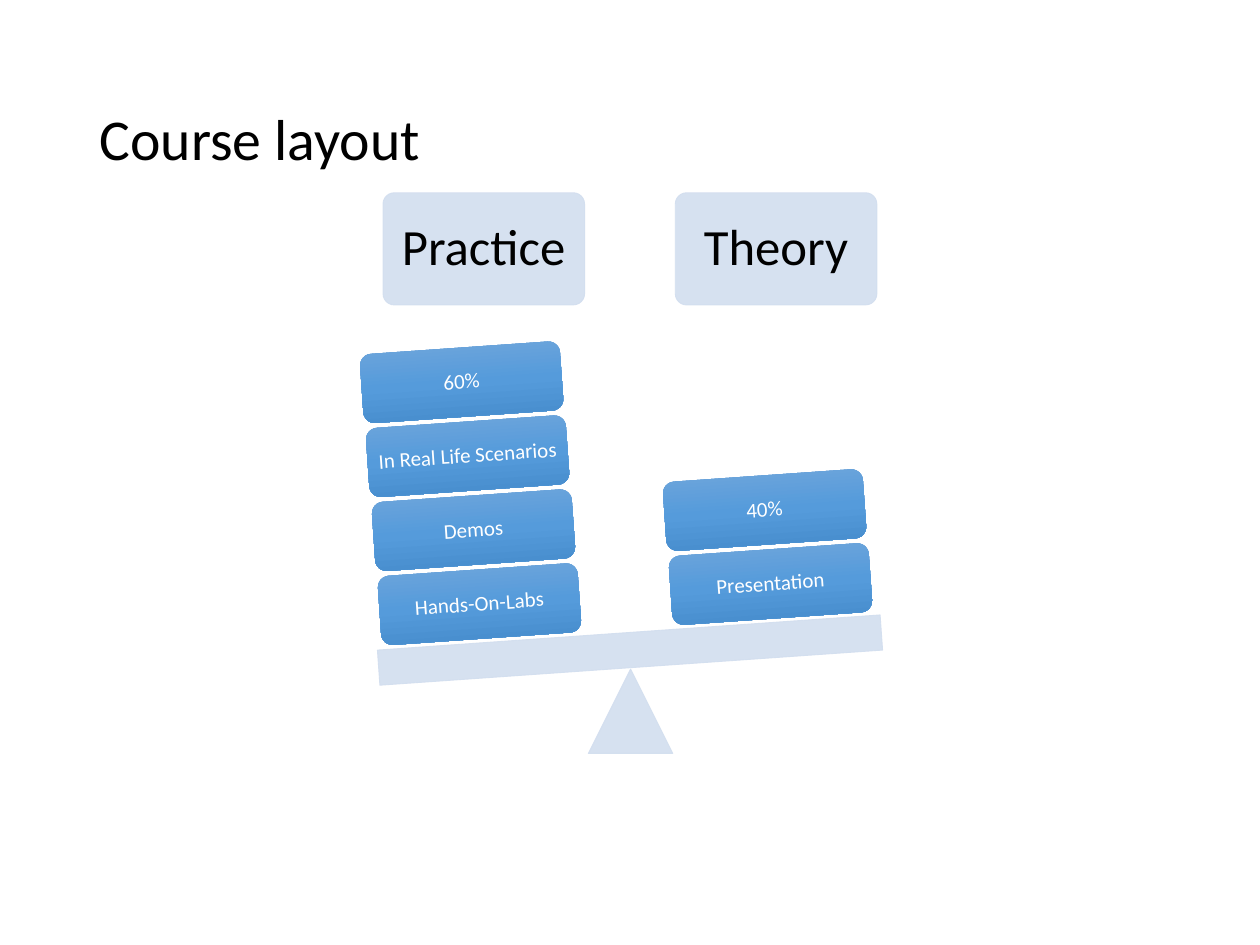
"""Build the course layout slide: practice outweighing theory on a seesaw."""
from dataclasses import dataclass

from lxml import etree
from pptx import Presentation
from pptx.dml.color import RGBColor
from pptx.enum.shapes import MSO_SHAPE
from pptx.enum.text import MSO_ANCHOR, PP_ALIGN
from pptx.oxml.ns import qn
from pptx.util import Inches, Pt

RECT, ROUND = MSO_SHAPE.RECTANGLE, MSO_SHAPE.ROUNDED_RECTANGLE
TRIANGLE = MSO_SHAPE.ISOSCELES_TRIANGLE
MIDDLE, LEFT, CENTER = MSO_ANCHOR.MIDDLE, PP_ALIGN.LEFT, PP_ALIGN.CENTER

BLACK = RGBColor(0x00, 0x00, 0x00)
WHITE = RGBColor(0xFF, 0xFF, 0xFF)
PALE = RGBColor(0xD2, 0xDE, 0xEF)
BLUES = ((0, "71A6DB"), (50, "559BDB"), (100, "448ACA"))
FONT = "Calibri"
TILT = -4
STEP_X, STEP_Y = -0.047, -0.587
BLOCK_W, BLOCK_H = 1.59, 0.55


@dataclass
class Pan:
    heading: str
    heading_left: float
    left: float
    top: float
    blocks: tuple[str, ...]


PANS = (
    Pan("Practice", 3.04, 3.01, 4.52,
        ("Hands-On-Labs", "Demos", "In Real Life Scenarios", "60%")),
    Pan("Theory", 5.36, 5.32, 4.36, ("Presentation", "40%")),
)


def write(sp, text: str, size: float, color: RGBColor, align) -> None:
    """Set one paragraph of formatted text."""
    tf = sp.text_frame
    tf.text = text
    tf.word_wrap = True
    tf.vertical_anchor = MIDDLE
    p = tf.paragraphs[0]
    p.alignment = align
    p.line_spacing = 0.9
    font = p.runs[0].font
    font.name, font.size, font.color.rgb = FONT, Pt(size), color


def set_insets(sp, inset: float) -> None:
    """Give all four text margins the same length."""
    tf = sp.text_frame
    tf.margin_left = tf.margin_right = Inches(inset)
    tf.margin_top = tf.margin_bottom = Inches(inset)


def add_shape(slide, kind, left: float, top: float, width: float, height: float):
    """Add a shape without a shadow."""
    sp = slide.shapes.add_shape(kind, *map(Inches, (left, top, width, height)))
    sp.shadow.inherit = False
    return sp


def add_pale(slide, kind, left: float, top: float, width: float, height: float):
    """Add a pale shape with slightly transparent fill and line."""
    sp = add_shape(slide, kind, left, top, width, height)
    sp.line.width = Pt(0.5)
    for fill in (sp.fill, sp.line.fill):
        fill.solid()
        fill.fore_color.rgb = PALE
    for clr in sp._element.spPr.iter(qn("a:srgbClr")):
        etree.SubElement(clr, qn("a:alpha"), val="90000")
    return sp


def add_block(slide, text: str, left: float, top: float) -> None:
    """Add a tilted block with a vertical gradient."""
    sp = add_shape(slide, ROUND, left, top, BLOCK_W, BLOCK_H)
    sp.rotation = TILT
    sp.line.fill.background()
    sp.fill.gradient()
    sp.fill.gradient_angle = 270
    stops = sp._element.spPr.find(".//" + qn("a:gsLst"))
    for stop in list(stops):
        stops.remove(stop)
    for pos, color in BLUES:
        stop = etree.SubElement(stops, qn("a:gs"), pos=str(pos * 1000))
        etree.SubElement(stop, qn("a:srgbClr"), val=color)
    set_insets(sp, 0.04)
    write(sp, text, 12, WHITE, CENTER)


def add_pan(slide, pan: Pan) -> None:
    """Add a heading and the stack of blocks below it."""
    sp = add_pale(slide, ROUND, pan.heading_left, 1.53, 1.6, 0.89)
    sp.adjustments[0] = 0.1
    set_insets(sp, 0.12)
    write(sp, pan.heading, 29, BLACK, CENTER)
    for i, text in enumerate(pan.blocks):
        add_block(slide, text, pan.left + i * STEP_X, pan.top + i * STEP_Y)


def main() -> None:
    """Build and save the slide."""
    prs = Presentation()
    prs.slide_width, prs.slide_height = Inches(10), Inches(7.5)
    slide = prs.slides.add_slide(prs.slide_layouts[5])
    title = slide.shapes.title
    title.left, title.top = Inches(0.69), Inches(0.4)
    title.width, title.height = Inches(8.62), Inches(1.45)
    write(title, "Course layout", 33, BLACK, LEFT)
    add_pale(slide, TRIANGLE, 4.67, 5.31, 0.67, 0.67)
    add_pale(slide, RECT, 3, 5.02, 4, 0.28).rotation = TILT
    for pan in PANS:
        add_pan(slide, pan)
    prs.save("out.pptx")


main()
